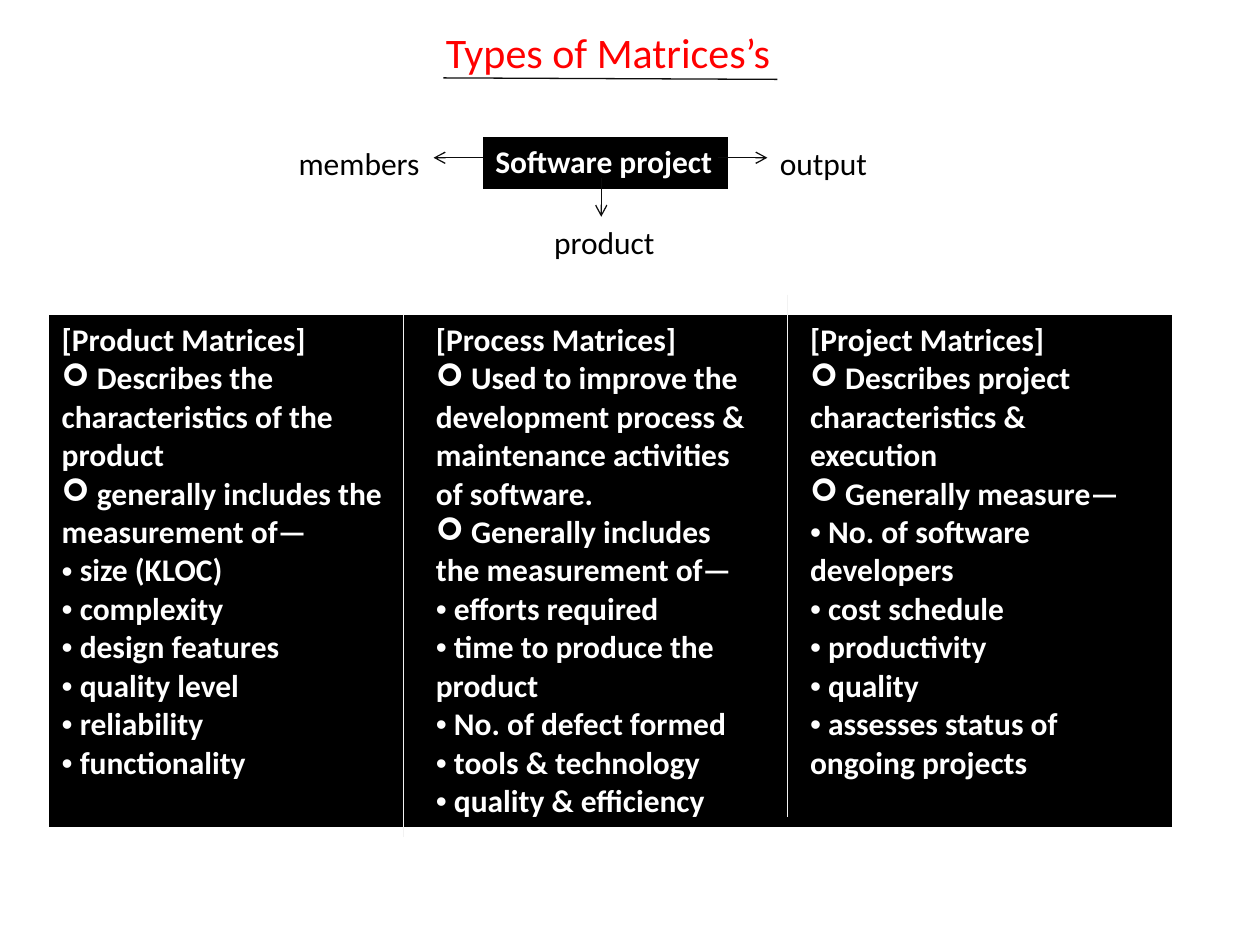
from lxml.etree import SubElement
from pptx import Presentation
from pptx.dml.color import RGBColor
from pptx.enum.shapes import MSO_CONNECTOR as Conn
from pptx.enum.text import MSO_AUTO_SIZE as AutoSize
from pptx.oxml.ns import qn
from pptx.util import Cm, Pt

COLORS = {"title": "FF0000", "ink": "0D0D0D", "black": "000000",
          "white": "FFFFFF", "divider": "F2F2F2"}
FONT = "Calibri"
ARROW, DOT = "➢", "•"

# text, (left, top, width, height), format
LABELS = [
    ("Types of Matrices’s", (8.74, 0.41, 7.11, 1.27), dict(size=24, color="title")),
    ("members", (5.77, 2.77, 2.97, 1.02), {}),
    ("product", (10.92, 4.37, 2.57, 1.02), {}),
    ("output", (15.47, 2.77, 2.29, 1.02), {}),
]
# start, end, colour, arrowhead
LINES = [
    ((8.94, 1.57), (15.67, 1.6), "ink", False),
    ((8.13, 6.35), (8.13, 16.87), "divider", False),
    ((15.88, 5.94), (15.88, 16.46), "divider", False),
    ((12.12, 3.58), (12.12, 4.37), "ink", True),
    ((14.48, 3.18), (15.47, 3.18), "ink", True),
    ((9.73, 3.18), (8.74, 3.18), "ink", True),
]
PROJECT = [[(None, "Software project")]]
MATRICES = [
    [(None, "[Product Matrices]"),
     (ARROW, "Describes the characteristics of the product"),
     (ARROW, "generally includes the measurement of—"),
     (DOT, "size (KLOC)"),
     (DOT, "complexity"),
     (DOT, "design features"),
     (DOT, "quality level"),
     (DOT, "reliability"),
     (DOT, "functionality")],
    [(None, "[Process Matrices]"),
     (ARROW, "Used to improve the"),
     (None, "development process &"),
     (None, "maintenance activities"),
     (None, "of software."),
     (ARROW, "Generally includes"),
     (None, "the measurement of—"),
     (DOT, "efforts required"),
     (DOT, "time to produce the product"),
     (DOT, "No. of defect formed"),
     (DOT, "tools & technology"),
     (DOT, "quality & efficiency")],
    [(None, "[Project Matrices]"),
     (ARROW, "Describes project characteristics & execution"),
     (ARROW, "Generally measure—"),
     (DOT, "No. of software developers"),
     (DOT, "cost schedule"),
     (DOT, "productivity"),
     (DOT, "quality"),
     (DOT, "assesses status of ongoing projects")],
]


def rgb(name):
    return RGBColor.from_string(COLORS[name])


def write(p, text, size=18, color="black", bold=False, bullet=None):
    if bullet:
        pPr = p._p.get_or_add_pPr()
        pPr.set("marL", "0")
        pPr.set("indent", "0")
        face = "Wingdings" if bullet == ARROW else "Arial"
        SubElement(pPr, qn("a:buFont")).set("typeface", face)
        SubElement(pPr, qn("a:buChar")).set("char", bullet)
        text = " " + text  # separates the text from its unindented bullet
    r = p.add_run()
    r.text = text
    r.font.name, r.font.size, r.font.bold = FONT, Pt(size), bold
    r.font.color.rgb = rgb(color)


def add_label(slide, text, box, fmt):
    tf = slide.shapes.add_textbox(*map(Cm, box)).text_frame
    tf.word_wrap = False
    tf.auto_size = AutoSize.SHAPE_TO_FIT_TEXT
    write(tf.paragraphs[0], text, **fmt)


def add_line(slide, start, end, color, arrow):
    s = slide.shapes.add_connector(Conn.STRAIGHT, *map(Cm, start + end))
    s.line.color.rgb = rgb(color)
    s.line.width = Pt(0.75)
    if arrow:
        SubElement(s.line._get_or_add_ln(), qn("a:tailEnd")).set("type", "arrow")
    SubElement(s._element.spPr, qn("a:effectLst"))


def add_black_table(slide, columns, box):
    """Add a one-row table; each column is a list of (bullet, text)."""
    table = slide.shapes.add_table(1, len(columns), *map(Cm, box)).table
    table.first_row = table.horz_banding = False
    for cell, items in zip(table.rows[0].cells, columns):
        cell.fill.solid()
        cell.fill.fore_color.rgb = rgb("black")
        tcPr = cell._tc.get_or_add_tcPr()
        for i, side in enumerate(("lnL", "lnR", "lnT", "lnB")):
            ln = tcPr.makeelement(qn(f"a:{side}"), {"w": "0"})
            SubElement(ln, qn("a:noFill"))
            tcPr.insert(i, ln)
        tf = cell.text_frame
        for i, (bullet, text) in enumerate(items):
            p = tf.add_paragraph() if i else tf.paragraphs[0]
            write(p, text, color="white", bold=True, bullet=bullet)


def main():
    prs = Presentation()
    prs.slide_width, prs.slide_height = Cm(25.4), Cm(19.05)
    slide = prs.slides.add_slide(prs.slide_layouts[6])
    add_black_table(slide, MATRICES, (0.99, 6.35, 22.63, 10.16))
    add_black_table(slide, PROJECT, (9.73, 2.77, 4.95, 1.04))
    for line in LINES:
        add_line(slide, *line)
    for label in LABELS:
        add_label(slide, *label)
    prs.save("out.pptx")


if __name__ == "__main__":
    main()
